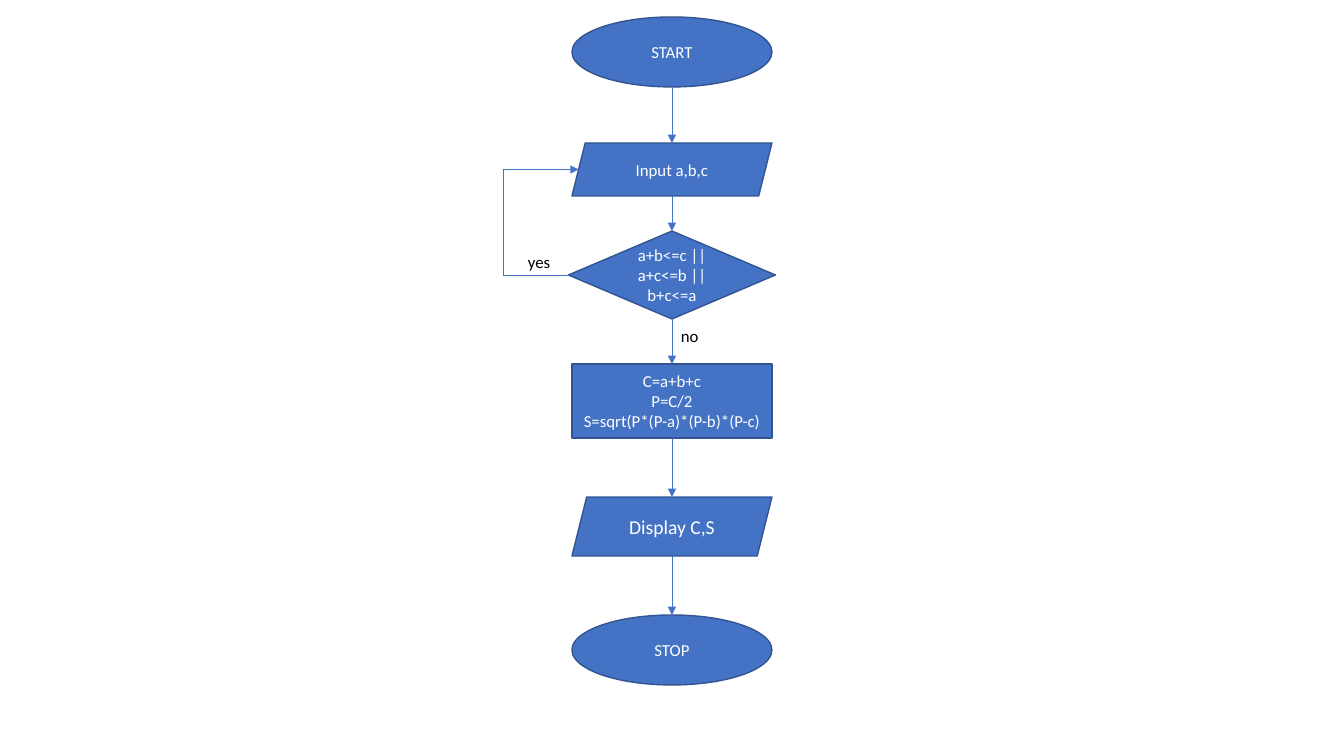
from itertools import pairwise
from lxml.etree import SubElement
from pptx import Presentation
from pptx.dml.color import RGBColor
from pptx.enum.shapes import MSO_CONNECTOR, MSO_SHAPE as Shape
from pptx.enum.text import MSO_ANCHOR, PP_ALIGN
from pptx.oxml.ns import qn
from pptx.util import Pt

# Content: kind, top, width, height, text size, lines
STEPS = [
    ("terminal", 17, 200, 70, "normal", ["START"]),
    ("data", 143, 200, 53, "normal", ["Input a,b,c"]),
    ("decision", 231, 207, 88, "normal", ["a+b<=c || a+c<=b || b+c<=a"]),
    ("process", 364, 200, 74, "normal", ["C=a+b+c", "P=C/2", "S=sqrt(P*(P-a)*(P-b)*(P-c)"]),
    ("data", 497, 200, 59, "large", ["Display C,S"]),
    ("terminal", 615, 200, 70, "normal", ["STOP"]),
]
LABELS = [("yes", 518, 247, 43, 30), ("no", 671, 321, 38, 30)]
INPUT, DECISION = 1, 2

# Theme and layout
THEME = {
    "font": "Calibri", "normal": Pt(12), "large": Pt(14),
    "fill": RGBColor.from_string("4472C4"), "outline": RGBColor.from_string("325491"),
    "light": RGBColor.from_string("FFFFFF"), "dark": RGBColor.from_string("000000"),
    "outline_width": Pt(1), "arrow_width": Pt(0.5),
}
KINDS = {"terminal": Shape.OVAL, "data": Shape.PARALLELOGRAM,
         "decision": Shape.DIAMOND, "process": Shape.RECTANGLE}
PIXEL = 914400 / 100.8
CENTER, LOOP_X = 672, 503
SLANT = 0.25


def emu(*pixels):
    return [round(value * PIXEL) for value in pixels]


def apply_format(target, values):
    for name, value in values.items():
        setattr(target, name, value)


def write(frame, lines, size, color, align):
    for index, line in enumerate(lines):
        paragraph = frame.add_paragraph() if index else frame.paragraphs[0]
        paragraph.alignment = align
        run = paragraph.add_run()
        run.text = line
        apply_format(run.font, {"name": THEME["font"], "size": THEME[size]})
        run.font.color.rgb = THEME[color]


def add_step(slide, kind, top, width, height, size, lines):
    shape = slide.shapes.add_shape(KINDS[kind], *emu(CENTER - width / 2, top, width, height))
    shape.shadow.inherit = False
    shape.fill.solid()
    shape.fill.fore_color.rgb = THEME["fill"]
    shape.line.color.rgb = THEME["outline"]
    shape.line.width = THEME["outline_width"]
    apply_format(shape.text_frame, {"word_wrap": True, "vertical_anchor": MSO_ANCHOR.MIDDLE})
    write(shape.text_frame, lines, size, "light", PP_ALIGN.CENTER)


def add_line(slide, start, end, arrow=True):
    connector = slide.shapes.add_connector(MSO_CONNECTOR.STRAIGHT, *emu(*start, *end))
    connector.line.color.rgb = THEME["fill"]
    connector.line.width = THEME["arrow_width"]
    if arrow:
        SubElement(connector.line._get_or_add_ln(), qn("a:tailEnd"), type="triangle")
    SubElement(connector._element.spPr, qn("a:effectLst"))


presentation = Presentation()
presentation.slide_width, presentation.slide_height = emu(1344, 756)
slide = presentation.slides.add_slide(presentation.slide_layouts[6])

# Flowchart steps
for step in STEPS:
    add_step(slide, *step)

# Arrows from each step to the next
for (_, top, _, height, *_), (_, next_top, *_) in pairwise(STEPS):
    add_line(slide, (CENTER, top + height), (CENTER, next_top))

# Loop from the decision back to the input
_, input_top, input_width, input_height, *_ = STEPS[INPUT]
_, decision_top, decision_width, decision_height, *_ = STEPS[DECISION]
input_y = input_top + input_height / 2
decision_y = decision_top + decision_height / 2
input_edge = CENTER - input_width / 2 + SLANT * input_height / 2
corners = [(CENTER - decision_width / 2, decision_y), (LOOP_X, decision_y),
           (LOOP_X, input_y), (input_edge, input_y)]
for start, end in pairwise(corners):
    add_line(slide, start, end, arrow=end == corners[-1])

# Branch labels
for text, *box in LABELS:
    label = slide.shapes.add_textbox(*emu(*box))
    label.text_frame.word_wrap = False
    write(label.text_frame, [text], "normal", "dark", PP_ALIGN.LEFT)

presentation.save("out.pptx")
